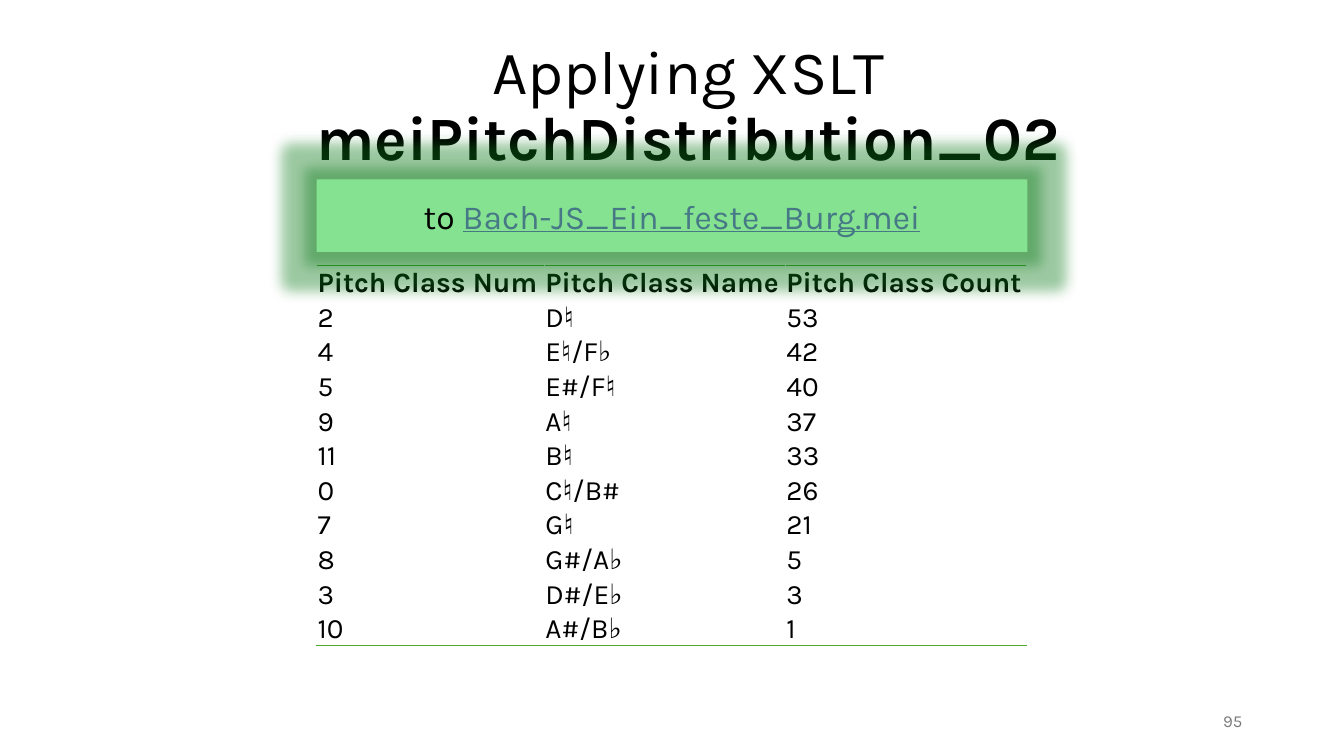
from lxml import etree
from pptx import Presentation
from pptx.dml.color import RGBColor
from pptx.enum.shapes import MSO_SHAPE
from pptx.enum.text import MSO_ANCHOR, MSO_AUTO_SIZE, PP_ALIGN
from pptx.oxml.ns import qn
from pptx.util import Inches, Pt

RECTANGLE = MSO_SHAPE.RECTANGLE
MIDDLE, BOTTOM = MSO_ANCHOR.MIDDLE, MSO_ANCHOR.BOTTOM
LEFT, CENTER, RIGHT = PP_ALIGN.LEFT, PP_ALIGN.CENTER, PP_ALIGN.RIGHT
GROW = MSO_AUTO_SIZE.SHAPE_TO_FIT_TEXT

FONT = "Karla"
BLACK = RGBColor(0x00, 0x00, 0x00)
GREY = RGBColor(0x79, 0x79, 0x79)
LINK_BLUE = RGBColor(0x46, 0x78, 0x86)
LIGHT_GREEN = RGBColor(0x84, 0xE2, 0x91)
RULE_GREEN = RGBColor(0x4E, 0xA7, 0x2E)
GLOW_GREEN = RGBColor(0x0A, 0x7A, 0x18)

COLUMN_WIDTHS = (2.26, 2.39, 2.39)
TABLE_HEIGHT = 3.78
PITCH_ROWS = [
    ("Pitch Class Num", "Pitch Class Name", "Pitch Class Count"),
    ("2", "D♮", "53"),
    ("4", "E♮/F♭", "42"),
    ("5", "E#/F♮", "40"),
    ("9", "A♮", "37"),
    ("11", "B♮", "33"),
    ("0", "C♮/B#", "26"),
    ("7", "G♮", "21"),
    ("8", "G#/A♭", "5"),
    ("3", "D#/E♭", "3"),
    ("10", "A#/B♭", "1"),
]


def add_text(paragraph, text, size, color=BLACK, bold=False, underline=False,
             align=LEFT):
    paragraph.alignment = align
    run = paragraph.add_run()
    run.text = text
    font = run.font
    font.name, font.size = FONT, Pt(size)
    font.bold, font.underline = bold, underline
    font.color.rgb = color


def add_text_box(slide, left, top, width, height):
    """Add a wrapping, vertically centred box and return its paragraph."""
    box = slide.shapes.add_textbox(
        Inches(left), Inches(top), Inches(width), Inches(height))
    frame = box.text_frame
    frame.word_wrap = True
    frame.vertical_anchor = MIDDLE
    return frame.paragraphs[0]


def add_color(parent, color, alpha=None):
    element = etree.SubElement(parent, qn("a:srgbClr"), val=str(color))
    if alpha is not None:
        etree.SubElement(element, qn("a:alpha"), val=str(alpha * 1000))


def add_cell_rule(cell, side):
    """Draw a thin green rule on the cell's top (lnT) or bottom (lnB)."""
    line = etree.Element(qn("a:" + side), w=str(Pt(1)))
    add_color(etree.SubElement(line, qn("a:solidFill")), RULE_GREEN)
    cell._tc.get_or_add_tcPr().insert(0, line)


def add_glow(shape, radius, color, alpha):
    effects = shape._element.spPr.find(qn("a:effectLst"))
    glow = etree.SubElement(effects, qn("a:glow"), rad=str(Pt(radius)))
    add_color(glow, color, alpha)


def add_pitch_table(slide):
    row_count = len(PITCH_ROWS)
    table = slide.shapes.add_table(
        row_count, len(COLUMN_WIDTHS), Inches(3.14), Inches(2.63),
        Inches(sum(COLUMN_WIDTHS)), Inches(TABLE_HEIGHT)).table
    table.first_row = table.horz_banding = False
    for column, width in zip(table.columns, COLUMN_WIDTHS):
        column.width = Inches(width)
    for row_index, values in enumerate(PITCH_ROWS):
        table.rows[row_index].height = Inches(TABLE_HEIGHT / row_count)
        for column_index, value in enumerate(values):
            cell = table.cell(row_index, column_index)
            cell.fill.background()
            cell.vertical_anchor = BOTTOM
            cell.margin_left = cell.margin_right = cell.margin_top = Inches(0.01)
            cell.margin_bottom = 0
            add_text(cell.text_frame.paragraphs[0], value, size=20,
                     bold=row_index == 0)
            if row_index == 0:
                add_cell_rule(cell, "lnT")
            elif row_index == row_count - 1:
                add_cell_rule(cell, "lnB")


def add_file_banner(slide):
    banner = slide.shapes.add_shape(
        RECTANGLE, Inches(3.14), Inches(1.78), Inches(7.05), Inches(0.72))
    banner.shadow.inherit = False
    banner.fill.solid()
    banner.fill.fore_color.rgb = LIGHT_GREEN
    banner.line.fill.background()
    add_glow(banner, radius=18, color=GLOW_GREEN, alpha=40)
    frame = banner.text_frame
    frame.word_wrap = True
    frame.auto_size = GROW
    frame.margin_top = frame.margin_bottom = Inches(0.16)
    paragraph = frame.paragraphs[0]
    add_text(paragraph, "to ", size=24, align=CENTER)
    add_text(paragraph, "Bach-JS_Ein_feste_Burg.mei", size=24,
             color=LINK_BLUE, underline=True, align=CENTER)


def main():
    presentation = Presentation()
    presentation.slide_width = Inches(13.33)
    presentation.slide_height = Inches(7.5)
    slide = presentation.slides.add_slide(presentation.slide_layouts[6])

    # Pitch counts
    add_pitch_table(slide)

    # Title
    title = add_text_box(slide, 1.08, 0.57, 11.5, 0.99)
    title.line_spacing = 0.9
    add_text(title, "Applying XSLT ", size=44, align=CENTER)
    add_text(title, "meiPitchDistribution_02", size=44, bold=True, align=CENTER)

    # Source file
    add_file_banner(slide)

    # Slide number
    number = add_text_box(slide, 9.42, 6.95, 3, 0.4)
    add_text(number, "95", size=12, color=GREY, align=RIGHT)

    presentation.save("out.pptx")


if __name__ == "__main__":
    main()
